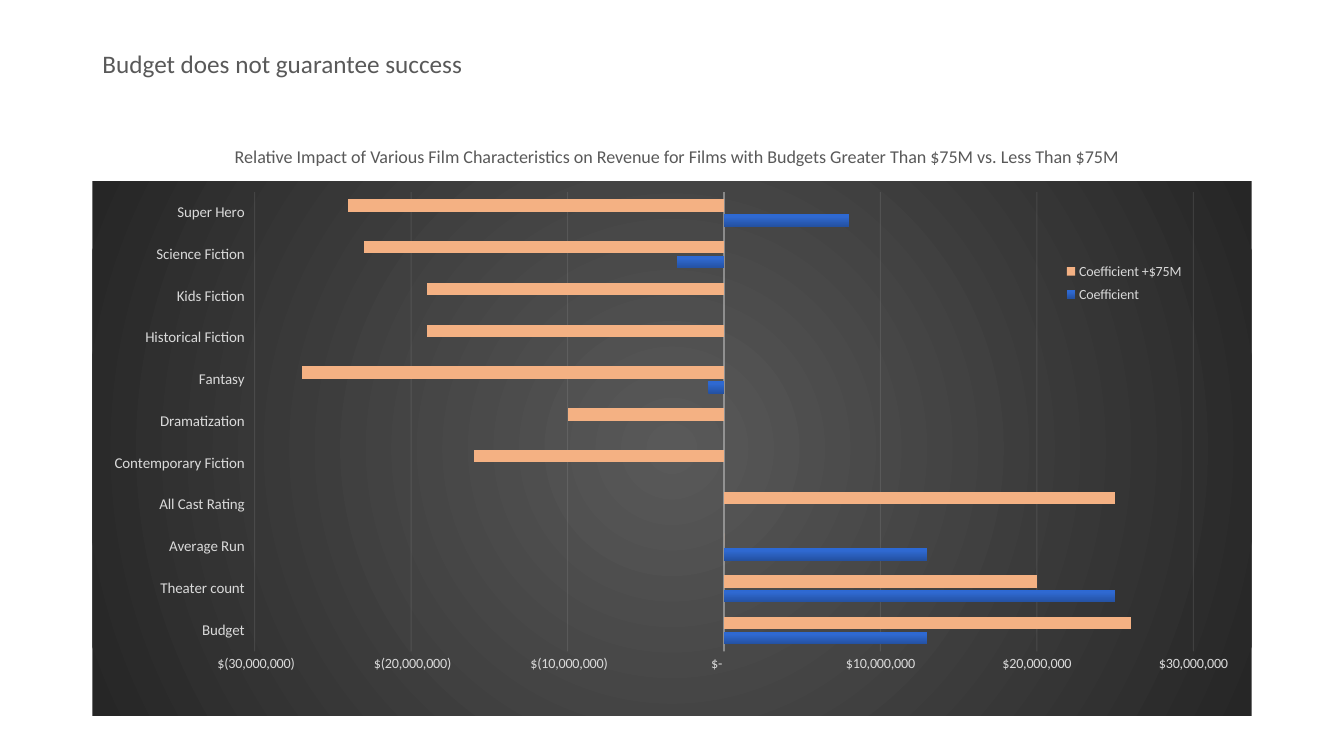
from dataclasses import dataclass

from lxml import etree
from pptx import Presentation
from pptx.chart.chart import Chart
from pptx.chart.data import CategoryChartData
from pptx.dml.color import RGBColor
from pptx.enum.chart import XL_CHART_TYPE, XL_LEGEND_POSITION, XL_TICK_LABEL_POSITION, XL_TICK_MARK
from pptx.enum.text import MSO_ANCHOR, PP_ALIGN
from pptx.oxml import parse_xml
from pptx.oxml.ns import nsdecls, qn
from pptx.text.text import TextFrame
from pptx.util import Pt

FONT = "Calibri"
TEXT_GRAY = RGBColor(0x59, 0x59, 0x59)
LABEL_GRAY = RGBColor(0xD9, 0xD9, 0xD9)
LINE_GRAY = RGBColor(0xF2, 0xF2, 0xF2)
CHARCOAL = RGBColor(0x26, 0x26, 0x26)
DEEP_BLUE = RGBColor(0x24, 0x51, 0xA1)
MID_BLUE = RGBColor(0x2F, 0x69, 0xD1)
BRIGHT_BLUE = RGBColor(0x2C, 0x69, 0xD5)
ORANGE = RGBColor(0xF4, 0xB1, 0x83)

MILLION = 1_000_000
DOLLARS = r'_("$"* #,##0_);_("$"* \(#,##0\);_("$"* "-"??_);_(@_)'


@dataclass(frozen=True)
class Film:
    trait: str
    lower_budget: int
    higher_budget: int


FILMS = [
    Film("Budget", 13, 26),
    Film("Theater count", 25, 20),
    Film("Average Run", 13, 0),
    Film("All Cast Rating", 0, 25),
    Film("Contemporary Fiction", 0, -16),
    Film("Dramatization", 0, -10),
    Film("Fantasy", -1, -27),
    Film("Historical Fiction", 0, -19),
    Film("Kids Fiction", 0, -19),
    Film("Science Fiction", -3, -23),
    Film("Super Hero", 8, -24),
]


@dataclass(frozen=True)
class Gradient:
    stops: tuple[tuple[int, RGBColor], ...]
    direction: str


BACKDROP = Gradient(
    ((0, TEXT_GRAY), (100, CHARCOAL)),
    '<a:path path="circle"><a:fillToRect l="50000" t="50000" r="50000" b="50000"/></a:path>',
)
BLUE_BARS = Gradient(
    ((0, DEEP_BLUE), (80, MID_BLUE), (100, BRIGHT_BLUE)),
    '<a:lin ang="16200000" scaled="0"/>',
)


def gradient_fill(gradient: Gradient):
    stops = "".join(
        f'<a:gs pos="{place * 1000}"><a:srgbClr val="{color}"/></a:gs>'
        for place, color in gradient.stops
    )
    return parse_xml(
        f'<a:gradFill {nsdecls("a")} rotWithShape="1"><a:gsLst>{stops}</a:gsLst>'
        f"{gradient.direction}</a:gradFill>"
    )


def write(frame: TextFrame, text: str, *, size: float, anchor: MSO_ANCHOR, before: float = 0) -> None:
    frame.word_wrap = True
    frame.vertical_anchor = anchor
    para = frame.paragraphs[0]
    para.alignment = PP_ALIGN.LEFT
    para.line_spacing = 0.9
    para.space_before = Pt(before)
    span = para.add_run()
    span.text = text
    span.font.name = FONT
    span.font.size = Pt(size)
    span.font.color.rgb = TEXT_GRAY


def style_font(font, size: float) -> None:
    font.name = FONT
    font.size = Pt(size)
    font.color.rgb = LABEL_GRAY


def style_line(line, width: float, opacity: int) -> None:
    line.width = Pt(width)
    line.color.rgb = LINE_GRAY
    color = next(line._get_or_add_ln().iter(qn("a:srgbClr")))
    etree.SubElement(color, qn("a:alpha")).set("val", str(opacity * 1000))


def manual_layout(x: float, y: float, w: float, h: float, inner: bool = False):
    target = '<c:layoutTarget val="inner"/>' if inner else ""
    sizes = "".join(
        f'<c:{name} val="{value}"/>' for name, value in zip("xywh", (x, y, w, h))
    )
    return parse_xml(
        f'<c:layout {nsdecls("c")}><c:manualLayout>{target}<c:xMode val="edge"/>'
        f'<c:yMode val="edge"/>{sizes}</c:manualLayout></c:layout>'
    )


def style_axes(chart: Chart) -> None:
    traits, revenue = chart.category_axis, chart.value_axis
    for axis, size in ((traits, 10.7), (revenue, 10.1)):
        axis.major_tick_mark = XL_TICK_MARK.NONE
        axis.minor_tick_mark = XL_TICK_MARK.NONE
        style_font(axis.tick_labels.font, size)
    traits.tick_label_position = XL_TICK_LABEL_POSITION.LOW
    style_line(traits.format.line, 1, 54)
    revenue.minimum_scale = -30 * MILLION
    revenue.maximum_scale = 30 * MILLION
    revenue.major_unit = 10 * MILLION
    revenue.tick_labels.number_format = DOLLARS
    revenue.tick_labels.number_format_is_linked = False
    revenue.format.line.fill.background()
    style_line(revenue.major_gridlines.format.line, 0.75, 10)


def style_bars(chart: Chart) -> None:
    plot = chart.plots[0]
    plot.vary_by_categories = False
    plot.gap_width = 115
    plot.overlap = -20
    lower, higher = plot.series
    for series in (lower, higher):
        series.invert_if_negative = False
        series.format.fill.solid()
        series.format.fill.fore_color.rgb = ORANGE
    solid = lower._element.find(qn("c:spPr")).find(qn("a:solidFill"))
    solid.getparent().replace(solid, gradient_fill(BLUE_BARS))


def place_parts(chart: Chart) -> None:
    area = chart._chartSpace.find(qn("c:chart"))
    plot_area = area.find(qn("c:plotArea"))
    for layout in plot_area.findall(qn("c:layout")):
        plot_area.remove(layout)
    plot_area.insert(0, manual_layout(0.14, 0.02, 0.81, 0.86, inner=True))

    chart.has_legend = True
    chart.legend.position = XL_LEGEND_POSITION.BOTTOM
    chart.legend.include_in_layout = False
    style_font(chart.legend.font, 10)
    legend = area.find(qn("c:legend"))
    for layout in legend.findall(qn("c:layout")):
        legend.remove(layout)
    legend.find(qn("c:legendPos")).addnext(manual_layout(0.83, 0.14, 0.12, 0.1))

    backdrop = parse_xml(f'<c:spPr {nsdecls("c", "a")}><a:ln><a:noFill/></a:ln></c:spPr>')
    backdrop.insert(0, gradient_fill(BACKDROP))
    area.addnext(backdrop)


def add_film_chart(page) -> None:
    data = CategoryChartData(number_format=DOLLARS)
    data.categories = [film.trait for film in FILMS]
    data.add_series("Coefficient", [film.lower_budget * MILLION for film in FILMS])
    data.add_series("Coefficient +$75M", [film.higher_budget * MILLION for film in FILMS])
    chart = page.shapes.add_chart(
        XL_CHART_TYPE.BAR_CLUSTERED, Pt(66), Pt(129.6), Pt(828), Pt(381.6), data
    ).chart
    chart.has_title = False
    style_font(chart.font, 10)
    style_axes(chart)
    style_bars(chart)
    place_parts(chart)


def main() -> None:
    deck = Presentation()
    deck.slide_width, deck.slide_height = Pt(960), Pt(540)
    page = deck.slides.add_slide(deck.slide_layouts[5])
    title = page.shapes.title
    title.left, title.top, title.width, title.height = Pt(66), Pt(28.8), Pt(828), Pt(36)
    write(title.text_frame, "Budget does not guarantee success", size=18, anchor=MSO_ANCHOR.MIDDLE)
    caption = page.shapes.add_textbox(Pt(160.6), Pt(102.2), Pt(686.2), Pt(27.4))
    write(
        caption.text_frame,
        "Relative Impact of Various Film Characteristics on Revenue for Films "
        "with Budgets Greater Than $75M vs. Less Than $75M",
        size=12.9, anchor=MSO_ANCHOR.TOP, before=10,
    )
    add_film_chart(page)
    deck.save("out.pptx")


if __name__ == "__main__":
    main()
